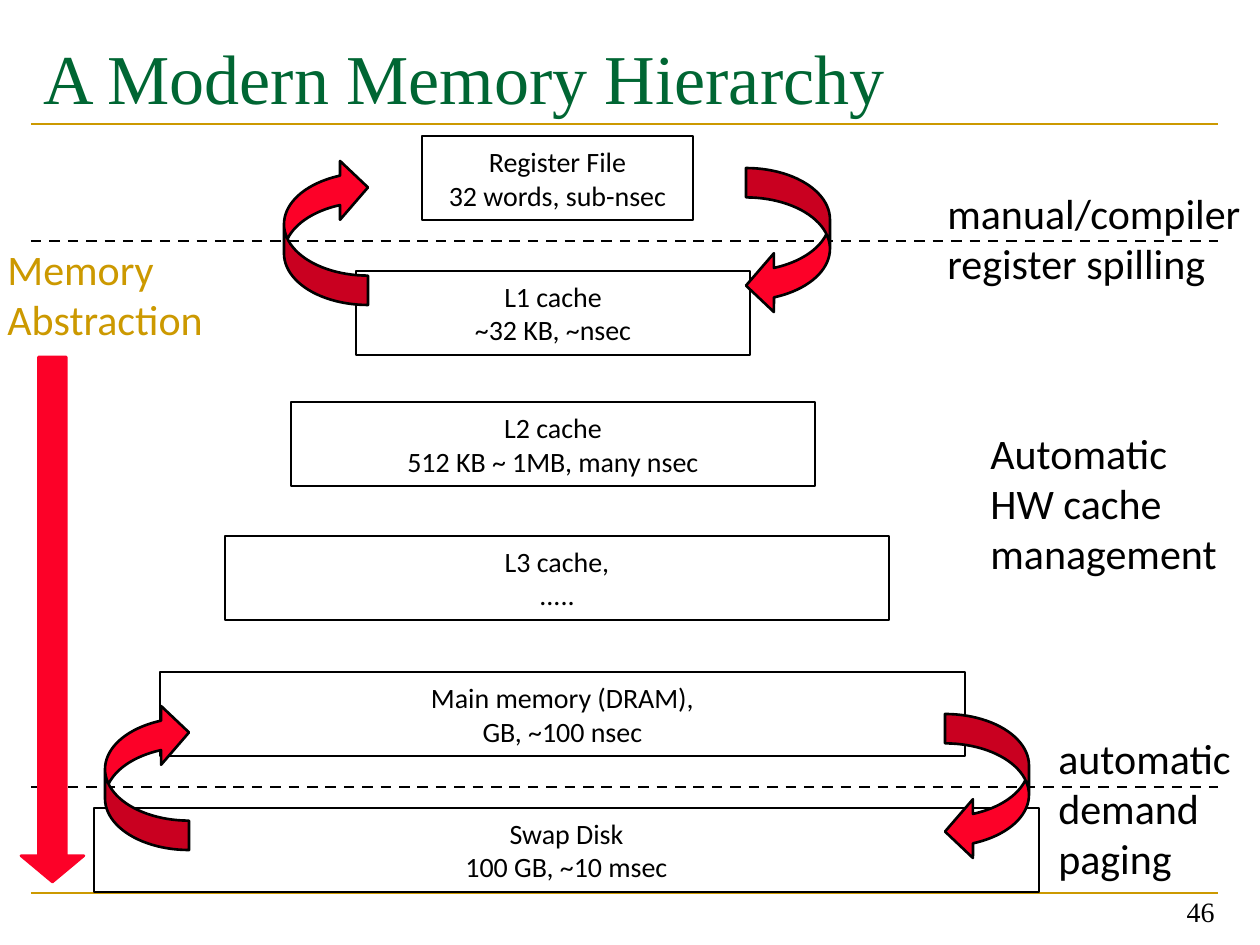
from lxml.etree import SubElement
from pptx import Presentation
from pptx.dml.color import RGBColor
from pptx.enum.dml import MSO_LINE
from pptx.enum.shapes import MSO_CONNECTOR, MSO_SHAPE
from pptx.enum.text import MSO_ANCHOR, PP_ALIGN
from pptx.oxml.ns import qn
from pptx.util import Emu, Pt

BLACK = RGBColor(0x00, 0x00, 0x00)
GOLD = RGBColor(0xCC, 0x99, 0x00)
GREEN = RGBColor(0x00, 0x66, 0x33)
RED = RGBColor(0xFC, 0x01, 0x28)
PX_PER_INCH = 126
RULE_LEFT, RULE_RIGHT = 31, 1218
LEVEL_HEIGHT = 84

LEVELS = [
    (422, 136, 271, "Register File\n32 words, sub-nsec"),
    (356, 271, 394, "L1 cache\n~32 KB, ~nsec"),
    (291, 402, 524, "L2 cache\n512 KB ~ 1MB, many nsec"),
    (225, 536, 664, "L3 cache,\n....."),
    (160, 672, 805, "Main memory (DRAM),\nGB, ~100 nsec"),
    (94, 808, 945, "Swap Disk\n100 GB, ~10 msec"),
]
TRANSFERS = [(746, 168, 0), (945, 714, 0), (284, 158, 180), (105, 703, 180)]
REMARKS = [
    (935, 181, 323, 115, "manual/compiler\nregister spilling", BLACK),
    (1046, 726, 200, 165, "automatic\ndemand\npaging", BLACK),
    (978, 421, 260, 165, "Automatic\nHW cache\nmanagement", BLACK),
    (-5, 237, 223, 115, "Memory\nAbstraction", GOLD),
]


def px(length):
    return Emu(round(length * 914400 / PX_PER_INCH))


def write(frame, text, size=24, font="Calibri", color=BLACK,
          align=PP_ALIGN.LEFT, anchor=MSO_ANCHOR.TOP, wrap=True):
    frame.word_wrap = wrap
    frame.vertical_anchor = anchor
    frame.text = text
    for paragraph in frame.paragraphs:
        paragraph.alignment = align
        paragraph.font.size = Pt(size)
        paragraph.font.name = font
        paragraph.font.color.rgb = color


def add_rule(slide, y, color, dash=None):
    rule = slide.shapes.add_connector(
        MSO_CONNECTOR.STRAIGHT, px(RULE_LEFT), px(y), px(RULE_RIGHT), px(y))
    rule.line.color.rgb = color
    rule.line.width = Pt(1.5)
    rule.line.dash_style = dash
    SubElement(rule._element.spPr, qn("a:effectLst"))


def add_outlined(slide, preset, left, top, width, height,
                 fill=None, line=BLACK, adjustments=()):
    shape = slide.shapes.add_shape(preset, px(left), px(top), px(width), px(height))
    shape.shadow.inherit = False
    shape.line.color.rgb = line
    shape.line.width = Pt(1.5)
    if fill is None:
        shape.fill.background()
    else:
        shape.fill.solid()
        shape.fill.fore_color.rgb = fill
    for index, value in enumerate(adjustments):
        shape.adjustments[index] = value
    return shape


def add_text(slide, left, top, width, height, text, **style):
    box = slide.shapes.add_textbox(px(left), px(top), px(width), px(height))
    write(box.text_frame, text, **style)


def set_title(slide, text):
    title = slide.shapes.title
    title.left, title.top, title.width, title.height = map(px, (31, 21, 1187, 147))
    write(title.text_frame, text, size=40, font="Times New Roman", color=GREEN)
    title.text_frame.margin_top = px(14)


def main():
    presentation = Presentation()
    presentation.slide_width, presentation.slide_height = px(1260), px(945)
    slide = presentation.slides.add_slide(presentation.slide_layouts[5])

    for y in (893, 124):
        add_rule(slide, y, GOLD)
    set_title(slide, "A Modern Memory Hierarchy")
    add_text(slide, 934, 871, 293, 63, "46", size=16, font="Times New Roman",
             align=PP_ALIGN.RIGHT, anchor=MSO_ANCHOR.BOTTOM)

    for left, top, width, label in LEVELS:
        level = add_outlined(slide, MSO_SHAPE.RECTANGLE, left, top, width, LEVEL_HEIGHT)
        write(level.text_frame, label, size=16, align=PP_ALIGN.CENTER,
              anchor=MSO_ANCHOR.MIDDLE)

    for y in (241, 787):
        add_rule(slide, y, BLACK, dash=MSO_LINE.DASH)
    for left, top, rotation in TRANSFERS:
        transfer = add_outlined(slide, MSO_SHAPE.CURVED_LEFT_ARROW, left, top, 84, 147,
                                fill=RED, adjustments=(0.35, 0.7, 0.333))
        transfer.rotation = rotation

    for left, top, width, height, remark, color in REMARKS:
        add_text(slide, left, top, width, height, remark, color=color, wrap=False)
    add_outlined(slide, MSO_SHAPE.DOWN_ARROW, 21, 357, 63, 525,
                 fill=RED, line=RED, adjustments=(0.444, 0.417))

    presentation.save("out.pptx")


if __name__ == "__main__":
    main()
